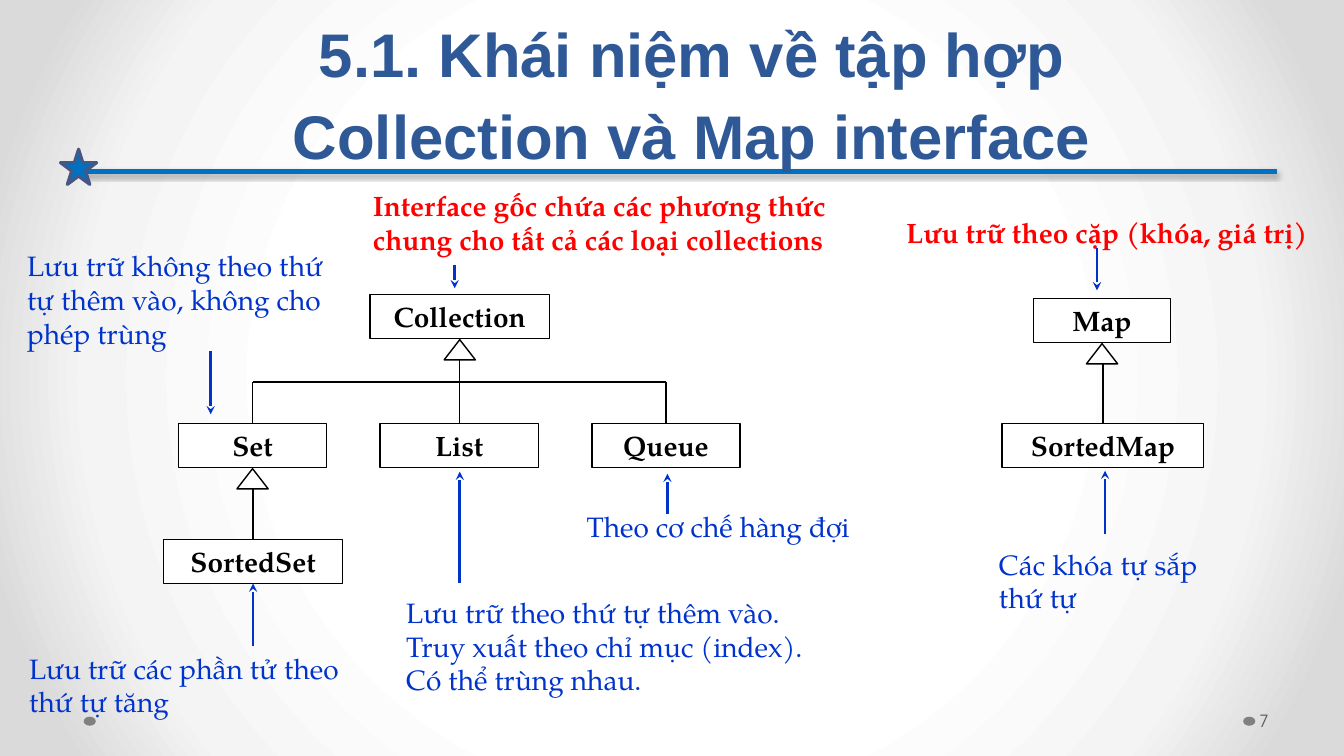
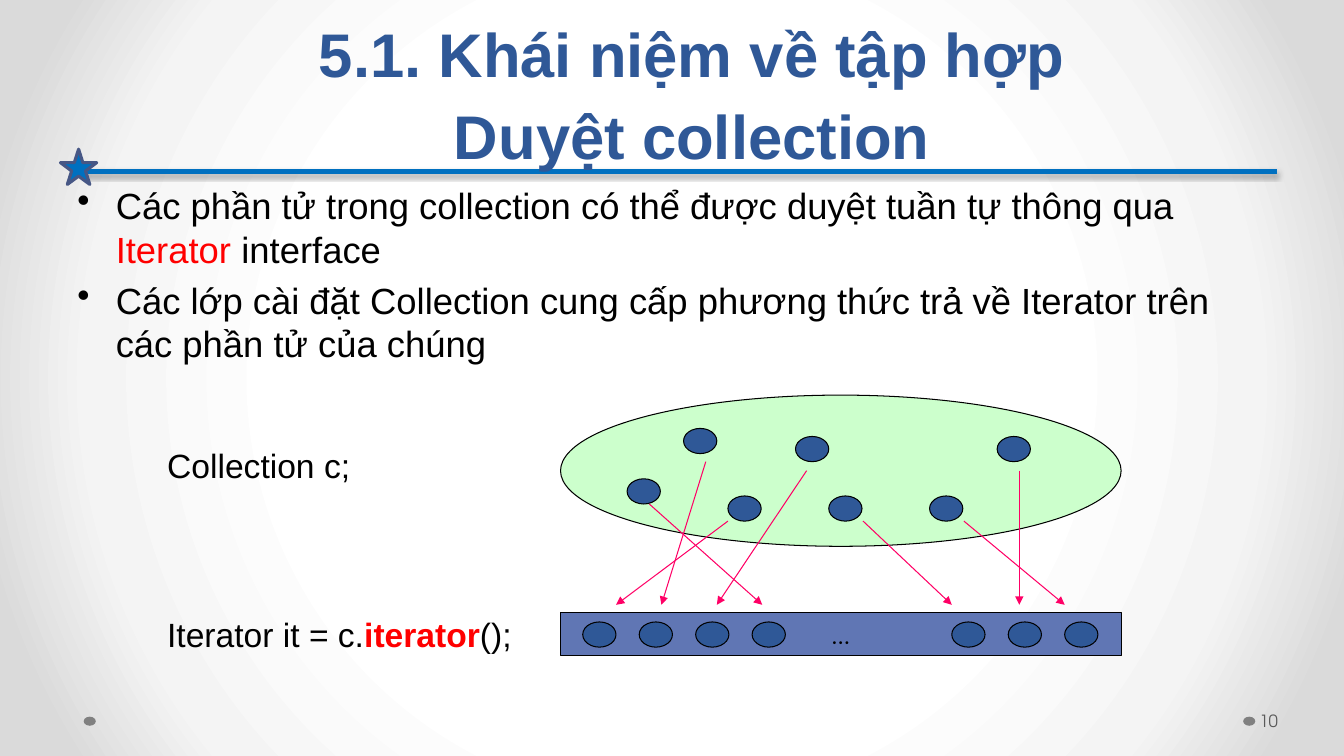
from dataclasses import dataclass

from pptx import Presentation
from pptx.dml.color import RGBColor
from pptx.enum.shapes import MSO_CONNECTOR, MSO_SHAPE
from pptx.enum.text import MSO_ANCHOR, MSO_AUTO_SIZE, PP_ALIGN
from pptx.oxml import parse_xml
from pptx.oxml.ns import nsdecls, qn
from pptx.oxml.xmlchemy import OxmlElement
from pptx.util import Inches, Pt

STRAIGHT = MSO_CONNECTOR.STRAIGHT
RECTANGLE, OVAL = MSO_SHAPE.RECTANGLE, MSO_SHAPE.OVAL
TRIANGLE, STAR = MSO_SHAPE.ISOSCELES_TRIANGLE, MSO_SHAPE.STAR_5_POINT
TOP, MIDDLE, BOTTOM = MSO_ANCHOR.TOP, MSO_ANCHOR.MIDDLE, MSO_ANCHOR.BOTTOM
LEFT, CENTER = PP_ALIGN.LEFT, PP_ALIGN.CENTER
NO_AUTOFIT = MSO_AUTO_SIZE.NONE
TOP_SITE, BOTTOM_SITE = 0, 2


@dataclass(frozen=True)
class Theme:
    """Colours, fonts and type sizes shared by the slides."""

    navy: RGBColor = RGBColor.from_string("2F5897")
    rule: RGBColor = RGBColor.from_string("0070C0")
    star_edge: RGBColor = RGBColor.from_string("475785")
    marker: RGBColor = RGBColor.from_string("808080")
    number: RGBColor = RGBColor.from_string("595959")
    note: RGBColor = RGBColor.from_string("0033CC")
    red: RGBColor = RGBColor.from_string("FF0000")
    pink: RGBColor = RGBColor.from_string("FF0066")
    black: RGBColor = RGBColor.from_string("000000")
    white: RGBColor = RGBColor.from_string("FFFFFF")
    green: RGBColor = RGBColor.from_string("CCFFCC")
    bar: RGBColor = RGBColor.from_string("6076B4")
    background: tuple = ((50, "FFFFFF"), (76, "F4F4F4"), (92, "DADADA"))
    sans: str = "Arial"
    serif: str = "TeX Gyre Pagella"
    number_font: str = "TeX Gyre Adventor"
    title_size: int = 44
    title_spacing: int = 58
    body_size: int = 26
    code_size: int = 24
    diagram_size: int = 20
    dots_size: int = 18
    number_size: int = 12


THEME = Theme()


def format_runs(paragraph, font, size, color, bold=False):
    """Apply one character style to every run of a paragraph."""
    for run in paragraph.runs:
        run.font.name = font
        run.font.size = Pt(size)
        run.font.bold = bold
        run.font.color.rgb = color


def fill_paragraph(paragraph, parts, font, size):
    """Write (text, colour, bold) parts as the runs of a paragraph."""
    for text, color, bold in parts:
        run = paragraph.add_run()
        run.text = text
        run.font.name = font
        run.font.size = Pt(size)
        run.font.bold = bold
        run.font.color.rgb = color


def add_box(slide, box, anchor=TOP):
    """Add an empty wrapping text box and return its text frame."""
    text_frame = slide.shapes.add_textbox(*map(Inches, box)).text_frame
    text_frame.word_wrap = True
    text_frame.auto_size = NO_AUTOFIT
    text_frame.vertical_anchor = anchor
    return text_frame


def add_figure(slide, kind, box, fill, line=None, weight=0.75):
    """Add a flat preset shape with an optional outline."""
    shape = slide.shapes.add_shape(kind, *map(Inches, box))
    shape.shadow.inherit = False
    shape.fill.solid()
    shape.fill.fore_color.rgb = fill
    if line is None:
        shape.line.fill.background()
    else:
        shape.line.color.rgb = line
        shape.line.width = Pt(weight)
    return shape


def label_figure(shape, text, size, bold=False):
    """Centre a black serif label in a shape."""
    text_frame = shape.text_frame
    text_frame.text = text
    text_frame.vertical_anchor = MIDDLE
    paragraph = text_frame.paragraphs[0]
    paragraph.alignment = CENTER
    format_runs(paragraph, THEME.serif, size, THEME.black, bold)


def add_line(slide, start, end, color, weight, arrowhead=None):
    """Add a straight line without shadow, with an optional arrowhead at its end."""
    line = slide.shapes.add_connector(STRAIGHT, *map(Inches, (*start, *end)))
    line.line.color.rgb = color
    line.line.width = Pt(weight)
    if arrowhead:
        tail = OxmlElement("a:tailEnd")
        tail.set("type", arrowhead)
        line.line._get_or_add_ln().append(tail)
    line._element.spPr.append(OxmlElement("a:effectLst"))
    return line


def add_rule_shadow(line):
    """Give a line a soft shadow straight below it."""
    effects = line._element.spPr.find(qn("a:effectLst"))
    effects.append(parse_xml(
        f'<a:outerShdw {nsdecls("a")} blurRad="{Pt(3.1)}" dist="{Pt(1.8)}" '
        'dir="5400000" rotWithShape="0"><a:srgbClr val="000000">'
        '<a:alpha val="35000"/></a:srgbClr></a:outerShdw>'))


def set_background(slide):
    """Fill the slide with a radial gradient."""
    slide.background.fill.gradient()
    gradient = slide.element.find(".//" + qn("a:gradFill"))
    stops = "".join(
        f'<a:gs pos="{position * 1000}"><a:srgbClr val="{color}"/></a:gs>'
        for position, color in THEME.background)
    gradient.getparent().replace(gradient, parse_xml(
        f'<a:gradFill {nsdecls("a")} rotWithShape="1"><a:gsLst>{stops}</a:gsLst>'
        '<a:path path="circle"><a:fillToRect l="50000" t="50000" r="50000" '
        'b="50000"/></a:path></a:gradFill>'))


def add_base_slide(presentation, title, number):
    """Add a slide with background, rule, star, title and slide number."""
    slide = presentation.slides.add_slide(presentation.slide_layouts[6])
    set_background(slide)
    for left in (12.33, 0.83):
        add_figure(slide, OVAL, (left, 7.11, 0.12, 0.09), THEME.marker)
    add_rule_shadow(add_line(slide, (0.84, 1.7), (12.67, 1.7), THEME.rule, 4))
    add_figure(slide, STAR, (0.6, 1.48, 0.36, 0.35), THEME.rule, THEME.star_edge, 2.25)

    heading = add_box(slide, (1.08, 0.19, 11.57, 1.56), BOTTOM).paragraphs[0]
    heading.text = title
    heading.alignment = CENTER
    heading.line_spacing = Pt(THEME.title_spacing)
    format_runs(heading, THEME.sans, THEME.title_size, THEME.navy, True)

    text_frame = add_box(slide, (12.46, 6.95, 0.82, 0.4), MIDDLE)
    text_frame.margin_left = Inches(0.03)
    text_frame.margin_right = Inches(0.05)
    text_frame.text = number
    format_runs(text_frame.paragraphs[0], THEME.number_font, THEME.number_size, THEME.number)
    return slide


def add_note(slide, text, box, start, end, main=False):
    """Add an explanation and its arrow, and return the arrow."""
    text_frame = add_box(slide, box)
    text_frame.text = text
    for paragraph in text_frame.paragraphs:
        paragraph.alignment = LEFT
        format_runs(paragraph, THEME.serif, THEME.diagram_size,
                    THEME.red if main else THEME.note, main)
    return add_line(slide, start, end, THEME.note, 2, "stealth")


def add_interface(slide, name, left, top, width):
    """Add a named interface box."""
    shape = add_figure(slide, RECTANGLE, (left, top, width, 0.44),
                       THEME.white, THEME.black, 1)
    label_figure(shape, name, THEME.diagram_size, True)
    return shape


def center_of(shape):
    """Return the horizontal centre of a shape in inches."""
    return (shape.left + shape.width / 2) / Inches(1)


def add_inheritance(slide, parent, children, branch_top=None):
    """Join child interfaces to the hollow triangle under their parent."""
    width, height = 0.31, 0.2
    top = (parent.top + parent.height) / Inches(1) + 0.01
    add_figure(slide, TRIANGLE, (center_of(parent) - width / 2, top, width, height),
               THEME.white, THEME.black, 1)
    middle_child = children[len(children) // 2]
    for child in children:
        center = center_of(child)
        end = top + height if child is middle_child else branch_top
        stem = add_line(slide, (center, child.top / Inches(1)), (center, end),
                        THEME.black, 1)
        stem.begin_connect(child, TOP_SITE)
    if branch_top:
        add_line(slide, (center_of(children[0]), branch_top),
                 (center_of(children[-1]), branch_top), THEME.black, 1)


def add_bullets(slide, box, items):
    """Add a bulleted list whose items are lists of run parts."""
    text_frame = add_box(slide, box)
    for index, parts in enumerate(items):
        paragraph = text_frame.add_paragraph() if index else text_frame.paragraphs[0]
        fill_paragraph(paragraph, parts, THEME.sans, THEME.body_size)
        paragraph.space_before = Pt(5 if index else 0)
        properties = paragraph._p.get_or_add_pPr()
        properties.set("marL", str(Inches(0.38)))
        properties.set("indent", str(-Inches(0.38)))
        bullet = OxmlElement("a:buChar")
        bullet.set("char", "•")
        properties.append(bullet)


def add_code(slide, box, parts):
    """Add one line of code."""
    fill_paragraph(add_box(slide, box).paragraphs[0], parts, THEME.sans, THEME.code_size)


def add_element(slide, left, top):
    """Add one collection element."""
    add_figure(slide, OVAL, (left, top, 0.33, 0.25), THEME.navy, THEME.black)


def build_interfaces(presentation):
    """Build the slide on the Collection and Map interfaces."""
    slide = add_base_slide(
        presentation, "5.1. Khái niệm về tập hợp\nCollection và Map interface", "7")
    collection = add_interface(slide, "Collection", 3.67, 2.92, 1.78)
    set_box = add_interface(slide, "Set", 1.77, 4.2, 1.47)
    list_box = add_interface(slide, "List", 3.77, 4.2, 1.57)
    queue = add_interface(slide, "Queue", 5.87, 4.2, 1.47)
    sorted_set = add_interface(slide, "SortedSet", 1.62, 5.35, 1.78)
    map_box = add_interface(slide, "Map", 10.25, 2.96, 1.36)
    sorted_map = add_interface(slide, "SortedMap", 9.94, 4.2, 2)
    add_inheritance(slide, collection, [set_box, list_box, queue], 3.79)
    add_inheritance(slide, set_box, [sorted_set])
    add_inheritance(slide, map_box, [sorted_map])

    arrow = add_note(slide, "Lưu trữ các phần tử theo thứ tự tăng",
                     (0.19, 6.41, 3.36, 0.77), (2.51, 6.41), (2.51, 5.79))
    arrow.end_connect(sorted_set, BOTTOM_SITE)
    add_note(slide, "Lưu trữ theo thứ tự thêm vào.\nTruy xuất theo chỉ mục (index).\n"
             "Có thể trùng nhau.", (3.93, 5.86, 4.62, 1.11), (4.56, 5.78), (4.56, 4.68))
    add_note(slide, "Theo cơ chế hàng đợi",
             (5.72, 5.01, 2.88, 0.44), (6.62, 5.1), (6.62, 4.7))
    add_note(slide, "Lưu trữ không theo thứ tự thêm vào, không cho phép trùng",
             (0.17, 2.42, 3.36, 1.11), (2.09, 3.48), (2.09, 4.11))
    add_note(slide, "Interface gốc chứa các phương thức chung cho tất cả các loại collections",
             (3.6, 1.82, 4.73, 0.77), (4.51, 2.63), (4.51, 2.86), True)
    add_note(slide, "Lưu trữ theo cặp (khóa, giá trị)",
             (8.89, 2.09, 4.2, 0.44), (10.88, 2.46), (10.88, 2.88), True)
    add_note(slide, "Các khóa tự sắp thứ tự",
             (9.81, 5.38, 2.57, 0.77), (10.96, 5.3), (10.96, 4.67))


def build_traversal(presentation):
    """Build the slide on traversing a collection."""
    slide = add_base_slide(
        presentation, "5.1. Khái niệm về tập hợp\nDuyệt collection", "10")
    add_bullets(slide, (0.67, 1.77, 12, 5.06), [
        [("Các phần tử trong collection có thể được duyệt tuần tự thông qua ",
          THEME.black, False),
         ("Iterator ", THEME.red, False), ("interface", THEME.black, False)],
        [("Các lớp cài đặt Collection cung cấp phương thức trả về Iterator trên "
          "các phần tử của chúng", THEME.black, False)],
    ])
    add_figure(slide, OVAL, (5.56, 3.92, 5.56, 1.5), THEME.green, THEME.black)
    for left, top in ((6.22, 4.75), (6.78, 4.25), (7.22, 4.92), (7.89, 4.33),
                      (8.22, 4.92), (9.22, 4.92), (9.89, 4.33)):
        add_element(slide, left, top)
    bar = add_figure(slide, RECTANGLE, (5.56, 6.08, 5.56, 0.42), THEME.bar, THEME.black)
    label_figure(bar, "...", THEME.dots_size)
    for first, count in ((5.78, 4), (9.44, 3)):
        for index in range(count):
            add_element(slide, first + 0.56 * index, 6.17)
    for start, end_left in (((7.22, 5.17), 6.11), ((6.44, 5), 7.56), ((7, 4.58), 6.56),
                            ((8, 4.67), 7.11), ((8.56, 5.17), 9.44),
                            ((9.56, 5.17), 10.56), ((10.11, 4.67), 10.11)):
        add_line(slide, start, (end_left, 6), THEME.pink, 0.75, "triangle")
    add_code(slide, (1.56, 4.36, 2.67, 0.5), [("Collection c;", THEME.black, False)])
    add_code(slide, (1.56, 6.04, 4, 0.5), [
        ("Iterator it = c.", THEME.black, False),
        ("iterator", THEME.red, True), ("();", THEME.black, False)])


def main():
    """Build and save the presentation."""
    presentation = Presentation()
    presentation.slide_width = Inches(13.33)
    presentation.slide_height = Inches(7.5)
    build_interfaces(presentation)
    build_traversal(presentation)
    presentation.save("out.pptx")


if __name__ == "__main__":
    main()
